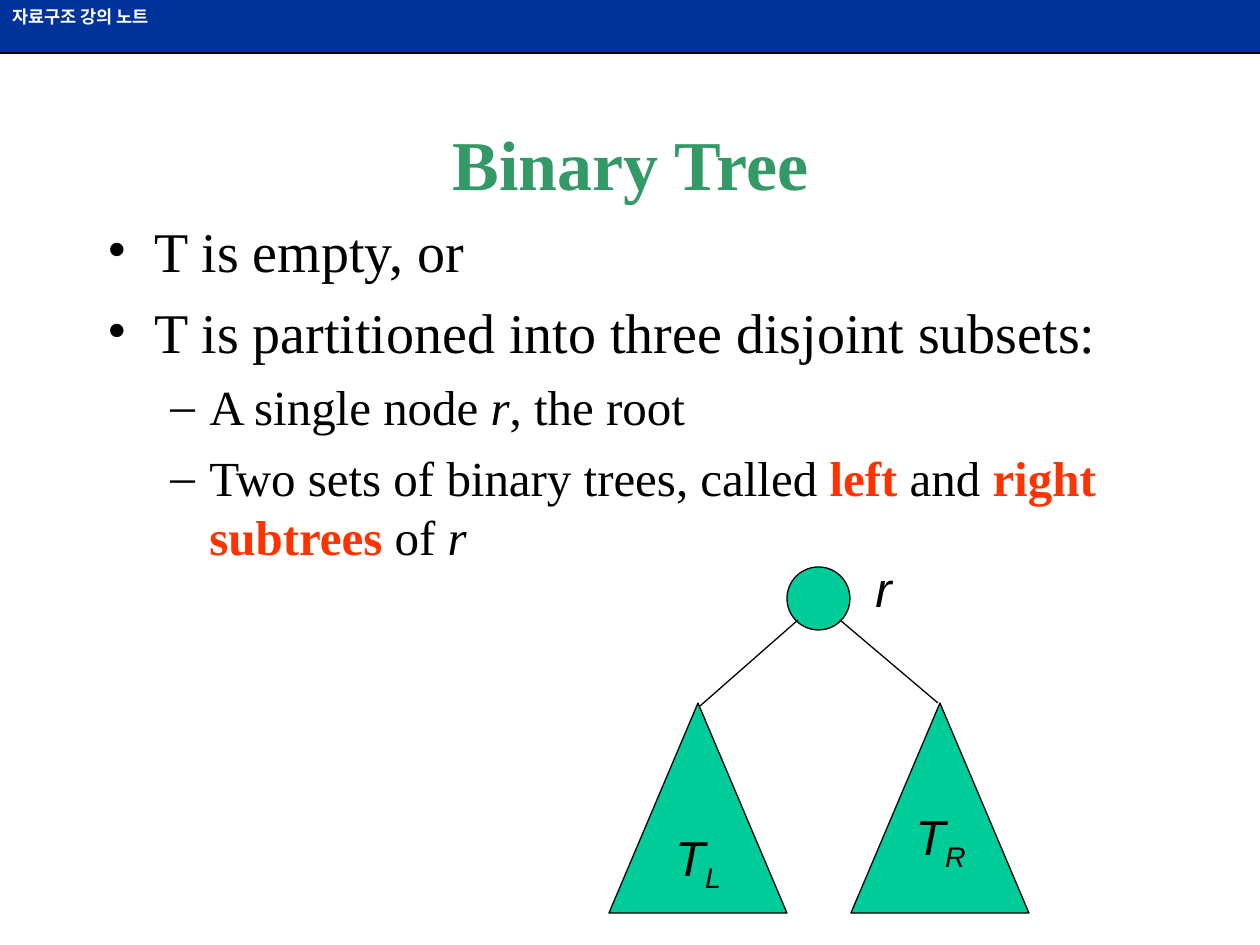
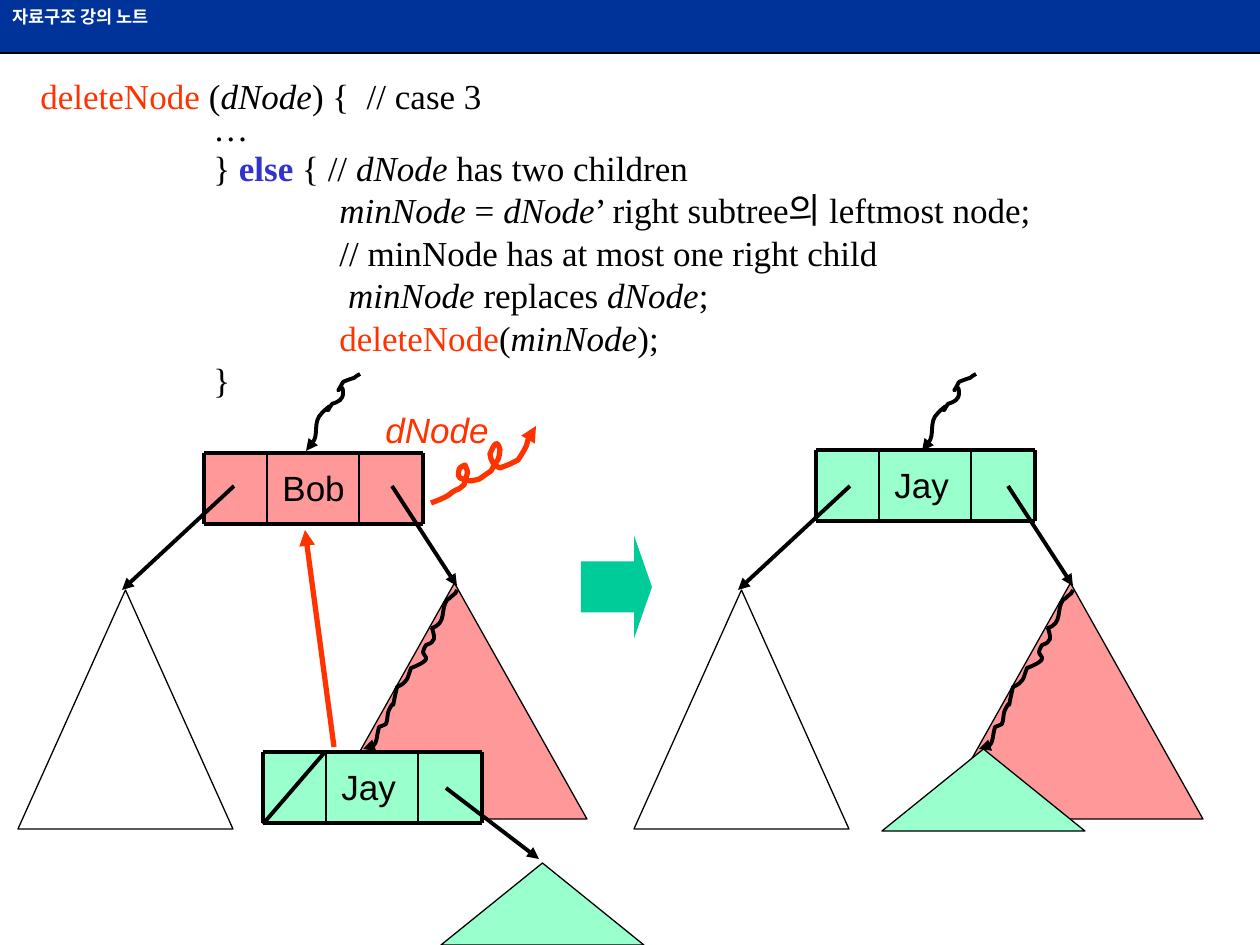
from lxml.etree import SubElement
from pptx import Presentation
from pptx.dml.color import RGBColor
from pptx.enum.shapes import MSO_CONNECTOR as LINE, MSO_SHAPE as SHAPE
from pptx.enum.text import MSO_ANCHOR as ANCHOR, PP_ALIGN as ALIGN
from pptx.oxml.ns import qn
from pptx.util import Emu, Pt

SERIF, SANS, KOREAN = "Times New Roman", "Arial", "Noto Sans CJK KR"
BLACK, WHITE, NAVY, RED, BLUE = "000000", "FFFFFF", "003399", "FF3300", "3333CC"
TITLE_GREEN, TEAL, MINT, PINK = "339966", "00CC99", "99FFCC", "FF9999"

ITALIC = {"italic": True}
RED_BOLD = {"color": RED, "bold": True}
SUBSCRIPT = {"italic": True, "baseline": -25000}

CELL_WIDTHS, CELL_HEIGHT = (63, 97, 59), 71
TREE_TOP = 374
TAB_WIDTH = 126

# Cubic curves: a start point, then three points for each segment.
ENTRY_CURVE = [
    (54, 0), (52, 1), (49, 3), (48, 4), (44, 5), (37, 8), (37, 8),
    (26, 29), (37, 3), (37, 19), (37, 26), (32, 28), (26, 30),
    (14, 48), (34, 21), (16, 39), (6, 48), (16, 67), (1, 72),
    (1, 74), (0, 77), (0, 77)]
LEFTMOST_CURVE = [
    (94, 0), (93, 3), (92, 4), (89, 6), (88, 8), (86, 8), (84, 10),
    (77, 20), (84, 33), (69, 38), (72, 48), (73, 52), (63, 55),
    (62, 58), (60, 59), (60, 62), (60, 64), (64, 67), (63, 69),
    (62, 73), (48, 78), (48, 78), (44, 89), (45, 92), (34, 97),
    (26, 132), (35, 102), (26, 120), (24, 123), (25, 130), (23, 134),
    (21, 135), (19, 136), (16, 137), (13, 149), (15, 159), (0, 159)]
REMOVAL_CURVE = [
    (0, 77), (8, 74), (11, 73), (18, 69), (20, 67), (24, 64), (28, 63),
    (29, 62), (33, 59), (33, 59), (37, 43), (38, 49), (34, 39),
    (33, 40), (30, 40), (29, 42), (28, 43), (26, 50), (29, 52),
    (33, 54), (40, 55), (40, 55), (43, 54), (48, 54), (50, 52),
    (54, 49), (60, 45), (60, 45), (69, 29), (67, 37), (69, 24),
    (66, 11), (62, 21), (59, 28), (60, 35), (62, 39), (69, 42),
    (82, 37), (77, 39), (87, 34), (91, 28), (96, 21), (97, 14),
    (100, 8), (98, 3), (105, 0)]


def px(length):
    return Emu(round(length * 914400 / 126))


def rgb(color):
    return RGBColor.from_string(color)


def write(frame, paragraphs, **options):
    """Fill a frame; a paragraph is a text or a list of (text, run format)."""
    frame.word_wrap = options.get("wrap", False)
    frame.vertical_anchor = options.get("anchor", ANCHOR.TOP)
    for index, runs in enumerate(paragraphs):
        paragraph = frame.add_paragraph() if index else frame.paragraphs[0]
        paragraph.alignment = options.get("align", ALIGN.LEFT)
        if index:
            paragraph.space_before = Pt(options.get("before", 0))
        for text, own in [(runs, {})] if isinstance(runs, str) else runs:
            look = {**options, **own}
            run = paragraph.add_run()
            run.text = text
            font = run.font
            font.size = Pt(look["size"])
            font.bold = look.get("bold", False)
            font.italic = look.get("italic", False)
            font.color.rgb = rgb(look.get("color", BLACK))
            font.name = look.get("font", SANS)
            properties = run._r.get_or_add_rPr()
            if font.name == KOREAN:
                SubElement(properties, qn("a:ea"), typeface=KOREAN)
            if "baseline" in look:
                properties.set("baseline", str(look["baseline"]))


def indent(paragraph, left, hanging, bullet=None, tabs=0):
    properties = paragraph._p.get_or_add_pPr()
    properties.set("marL", str(px(left)))
    properties.set("indent", str(-px(hanging)))
    if bullet:
        SubElement(properties, qn("a:buFont"), typeface=SERIF)
        SubElement(properties, qn("a:buChar"), char=bullet)
    if tabs:
        properties.set("defTabSz", str(px(TAB_WIDTH)))
        stops = SubElement(properties, qn("a:tabLst"))
        for stop in range(tabs):
            SubElement(stops, qn("a:tab"), pos=str(px(TAB_WIDTH * stop)), algn="l")


def text_box(slide, x, y, width, height, paragraphs, **options):
    frame = slide.shapes.add_textbox(px(x), px(y), px(width), px(height)).text_frame
    write(frame, paragraphs, **options)
    return frame


def style(shape, fill=None, line=None, weight=0.75):
    shape.shadow.inherit = False
    if fill:
        shape.fill.solid()
        shape.fill.fore_color.rgb = rgb(fill)
    else:
        shape.fill.background()
    if line:
        shape.line.color.rgb = rgb(line)
        shape.line.width = Pt(weight)
    else:
        shape.line.fill.background()
    return shape


def block(slide, kind, x, y, width, height, fill=None, line=None):
    return style(slide.shapes.add_shape(kind, px(x), px(y), px(width), px(height)),
                 fill, line)


def triangle(slide, x, y, width, height, fill=None):
    return block(slide, SHAPE.ISOSCELES_TRIANGLE, x, y, width, height, fill, BLACK)


def add_arrowhead(shape):
    SubElement(shape.line._get_or_add_ln(), qn("a:tailEnd"), type="triangle")


def connect(slide, x1, y1, x2, y2, weight=2.25, color=BLACK, arrow=False):
    connector = slide.shapes.add_connector(LINE.STRAIGHT, px(x1), px(y1), px(x2), px(y2))
    connector.line.color.rgb = rgb(color)
    connector.line.width = Pt(weight)
    if arrow:
        add_arrowhead(connector)
    SubElement(connector._element.spPr, qn("a:effectLst"))
    return connector


def squiggle(slide, x, y, curve, color=BLACK, weight=2.25):
    """Draw a cubic curve that ends in an arrowhead."""
    start, *points = [(px(x + dx), px(y + dy)) for dx, dy in curve]
    builder = slide.shapes.build_freeform(*start)
    builder.add_line_segments(points, close=False)
    shape = style(builder.convert_to_shape(), None, color, weight)
    add_arrowhead(shape)
    segments = list(shape._element.iter(qn("a:lnTo")))
    outline = segments[0].getparent()
    for i in range(0, len(segments), 3):
        bend = SubElement(outline, qn("a:cubicBezTo"))
        for segment in segments[i:i + 3]:
            bend.append(segment[0])
            outline.remove(segment)


def add_band(deck, slide):
    """Build the course band and move it to the master, where all slides share it."""
    band = block(slide, SHAPE.RECTANGLE, 0, 0, 1260, 52, NAVY)
    write(band.text_frame, ["자료구조 강의 노트"], size=10, color=WHITE, bold=True, wrap=True)
    rule = connect(slide, 0, 53, 1260, 53, 1.5)
    for number, shape in enumerate((band, rule), 101):
        shape._element.xpath("./*/p:cNvPr")[0].set("id", str(number))
        deck.slide_master.shapes._spTree.append(shape._element)


def set_title(slide, text):
    title = slide.shapes.title
    title.left, title.top, title.width, title.height = map(px, (95, 84, 1071, 158))
    write(title.text_frame, [text], size=40, font=SERIF, color=TITLE_GREEN, bold=True,
          align=ALIGN.CENTER, anchor=ANCHOR.MIDDLE, wrap=True)


def definition(slide, x, y):
    small = {"size": 28}
    frame = text_box(slide, x, y, 1071, 388, [
        "T is empty, or",
        "T is partitioned into three disjoint subsets:",
        [("A single node ", small), ("r", {**small, **ITALIC}), (", the root", small)],
        [("Two sets of binary trees, called ", small), ("left", {**small, **RED_BOLD}),
         (" and ", small), ("right subtrees", {**small, **RED_BOLD}),
         (" of ", small), ("r", {**small, **ITALIC})],
    ], size=32, font=SERIF, before=8, wrap=True)
    for index, paragraph in enumerate(frame.paragraphs):
        if index < 2:
            indent(paragraph, 47, 47, "•")
        else:
            indent(paragraph, 102, 39, "–")
            paragraph.space_before = Pt(7)


def root_and_subtrees(slide, x, y):
    label = {"size": 28, "italic": True}
    block(slide, SHAPE.OVAL, x + 178, y, 63, 63, TEAL, BLACK)
    connect(slide, x + 189, y + 53, x + 91, y + 139, 0.75)
    connect(slide, x + 231, y + 53, x + 329, y + 136, 0.75)
    left, _ = (triangle(slide, x + offset, y + 136, 178, 210, TEAL) for offset in (0, 242))
    write(left.text_frame, [[("T", {}), ("L", SUBSCRIPT)]], align=ALIGN.CENTER,
          anchor=ANCHOR.MIDDLE, **label)
    text_box(slide, x + 254, y - 15, 42, 72, ["r"], **label)
    text_box(slide, x + 294, y + 233, 76, 79, [[("T", {}), ("R", SUBSCRIPT)]], **label)


def pseudocode(slide, x, y):
    red = {"color": RED}
    frame = text_box(slide, x, y, 1176, 343, [
        [("deleteNode", red), (" (", {}), ("dNode", ITALIC), (") {  // case 3", {})],
        "\t\t…",
        [("\t\t} ", {}), ("else", {"color": BLUE, "bold": True}), (" { // ", {}),
         ("dNode", ITALIC), (" has two children", {})],
        [("\t\t\t", {}), ("minNode", ITALIC), (" = ", {}), ("dNode", ITALIC),
         ("’ right subtree", {}), ("의 ", {"font": KOREAN}), ("leftmost node;", {})],
        "\t\t\t// minNode has at most one right child",
        [("\t\t\t ", {}), ("minNode", ITALIC), (" replaces ", {}), ("dNode", ITALIC), (";", {})],
        [("\t\t\tdeleteNode", red), ("(", {}), ("minNode", ITALIC), (");", {})],
        "\t\t}",
    ], size=20, font=SERIF, before=5, wrap=True)
    for index, paragraph in enumerate(frame.paragraphs):
        indent(paragraph, 47, 47, tabs=8)
        paragraph.line_spacing = {0: 1.0, 1: 0.5}.get(index, 0.8)


def record(slide, x, y, name, fill):
    """Draw a tree node with a left link, a name and a right link."""
    right, bottom = x + sum(CELL_WIDTHS), y + CELL_HEIGHT
    cell_x = x
    for width in CELL_WIDTHS:
        block(slide, SHAPE.RECTANGLE, cell_x, y, width, CELL_HEIGHT, fill)
        cell_x += width
    for edge_y in (y, bottom):
        connect(slide, x, edge_y, right, edge_y)
    for edge_x, weight in ((x, 2.25), (x + 63, 1), (x + 155, 1), (right, 2.25)):
        connect(slide, edge_x, y, edge_x, bottom, weight)
    label = block(slide, SHAPE.RECTANGLE, x + 66, y + 7, 83, 55, fill)
    write(label.text_frame, [name], size=20)


def tree(slide, x, y, name, fill, record_x, record_y):
    """Draw a record, the way into it and its two subtrees."""
    squiggle(slide, x + 288, y, ENTRY_CURVE)
    record(slide, x + record_x, y + record_y, name, fill)
    connect(slide, x + 216, y + 112, x + 104, y + 216, arrow=True)
    connect(slide, x + 374, y + 112, x + 439, y + 212, arrow=True)
    triangle(slide, x, y + 216, 215, 239)
    triangle(slide, x + 304, y + 209, 265, 236, PINK)
    squiggle(slide, x + 345, y + 216, LEFTMOST_CURVE)


def before_deletion(slide, x, y):
    tree(slide, x, y, "Bob", PINK, 186, 79)
    triangle(slide, x + 423, y + 489, 203, 82, MINT)
    text_box(slide, x + 355, y + 28, 129, 55, ["dNode"], size=20, color=RED, italic=True)
    record(slide, x + 245, y + 378, "Jay", MINT)
    connect(slide, x + 307, y + 378, x + 245, y + 450)
    squiggle(slide, x + 413, y + 52, REMOVAL_CURVE, RED, 3)
    connect(slide, x + 428, y + 414, x + 521, y + 485, arrow=True)
    connect(slide, x + 316, y + 373, x + 287, y + 156, 3, RED, arrow=True)


def after_deletion(slide, x, y):
    tree(slide, x, y, "Jay", MINT, 182, 76)
    triangle(slide, x + 248, y + 375, 203, 82, MINT)


def main():
    deck = Presentation()
    deck.slide_width, deck.slide_height = px(1260), px(945)
    for level in deck.element.iter(qn("a:lvl1pPr")):
        level.set("defTabSz", str(px(TAB_WIDTH)))

    binary_tree = deck.slides.add_slide(deck.slide_layouts[5])
    add_band(deck, binary_tree)
    set_title(binary_tree, "Binary Tree")
    definition(binary_tree, 95, 210)
    root_and_subtrees(binary_tree, 609, 567)

    deletion = deck.slides.add_slide(deck.slide_layouts[6])
    pseudocode(deletion, 28, 68)
    before_deletion(deletion, 18, TREE_TOP)
    after_deletion(deletion, 634, TREE_TOP)
    step = block(deletion, SHAPE.RIGHT_ARROW, 581, 536, 71, 102, TEAL)
    step.adjustments[1] = 0.25

    deck.save("out.pptx")


if __name__ == "__main__":
    main()
